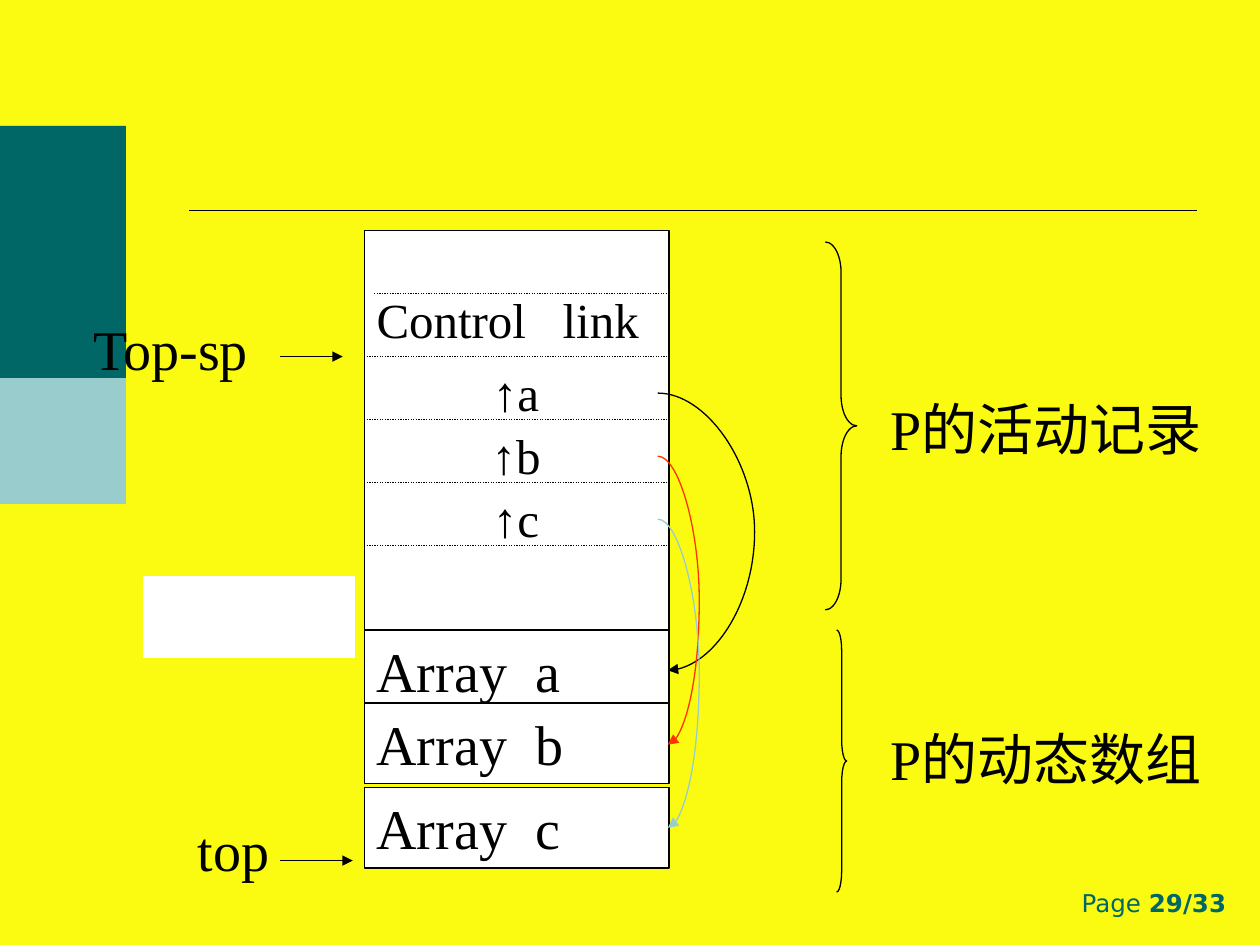
"""Build the slide on stack layout with dynamic arrays."""
import math

import pptx
import pptx.dml.color
import pptx.enum.dml
import pptx.enum.shapes
import pptx.enum.text
import pptx.oxml
import pptx.oxml.ns
import pptx.util

Inches = pptx.util.Inches
RGBColor = pptx.dml.color.RGBColor
Align = pptx.enum.text.PP_ALIGN
Shape = pptx.enum.shapes.MSO_SHAPE
Connector = pptx.enum.shapes.MSO_CONNECTOR

YELLOW = RGBColor(0xFB, 0xFB, 0x11)
TEAL = RGBColor(0x00, 0x66, 0x66)
PALE_TEAL = RGBColor(0x99, 0xCC, 0xCC)
BLACK = RGBColor(0, 0, 0)
WHITE = RGBColor(0xFF, 0xFF, 0xFF)
RED = RGBColor(0xFF, 0x33, 0x00)

STACK_LEFT, STACK_TOP, STACK_WIDTH = 2.89, 1.83, 2.42
ROW_TOP, ROW_STEP = 2.33, 0.5
CELL_HEIGHT = 0.64
POINTER_X, ARRAY_X = 5.22, 5.3

CIRCLES = [(0.96, 2.46, 1.4, PALE_TEAL), (0.73, 1.72, 1.42, TEAL)]
POINTERS = ["↑a", "↑b", "↑c"]
ARRAYS = [("Array  a", 5), ("Array  b", 5.58), ("Array  c", 6.25)]
LINKS = [(3.12, 5.32, 5.99, BLACK), (3.62, 5.91, 5.55, RED), (4.12, 6.57, 5.55, PALE_TEAL)]
LABELS = [
    ("Top-sp", (0.64, 2.45, 1.58, 0.63)),
    ("top", (1.47, 6.42, 0.92, 0.63)),
    ("P的活动记录", (6.97, 3.08, 2.83, 0.63)),
    ("P的动态数组", (6.97, 5.7, 2.67, 0.63)),
]
ARROWS = [(2.22, 2.72, 2.83), (2.22, 2.8, 6.83)]
BRACES = [((6.55, 1.92, 0.25, 2.92), 0.97), ((6.64, 5, 0.08, 2.08), 2.08)]


def write_text(shape, *pieces, size=32, font="Times New Roman", color=BLACK,
               align=Align.LEFT, bold_last=False):
    frame = shape.text_frame
    frame.word_wrap = True
    frame.vertical_anchor = pptx.enum.text.MSO_ANCHOR.TOP
    paragraph = frame.paragraphs[0]
    paragraph.alignment = align
    for index, piece in enumerate(pieces):
        run = paragraph.add_run()
        run.text = piece
        run.font.size = pptx.util.Pt(size)
        run.font.name = font
        run.font.color.rgb = color
        run.font.bold = bold_last and index == len(pieces) - 1


def add_label(slide, box, *pieces, **text_format):
    write_text(slide.shapes.add_textbox(*map(Inches, box)), *pieces, **text_format)


def add_outlined(slide, kind, box, fill=None, line=BLACK):
    shape = slide.shapes.add_shape(kind, *map(Inches, box))
    shape.shadow.inherit = False
    if fill is None:
        shape.fill.background()
    else:
        shape.fill.solid()
        shape.fill.fore_color.rgb = fill
    shape.line.color.rgb = line
    shape.line.width = pptx.util.Pt(0.75)
    return shape


def add_line(slide, start, end, color=BLACK, width=0.75, kind=Connector.STRAIGHT,
             dotted=False, arrow=False):
    connector = slide.shapes.add_connector(kind, *map(Inches, start + end))
    connector.line.color.rgb = color
    connector.line.width = pptx.util.Pt(width)
    if dotted:
        connector.line.dash_style = pptx.enum.dml.MSO_LINE.ROUND_DOT
    if arrow:
        head = pptx.oxml.ns.qn("a:tailEnd")
        connector.line._get_or_add_ln().append(pptx.oxml.xmlchemy.OxmlElement("a:tailEnd"))
        connector.line._get_or_add_ln().find(head).set("type", "triangle")
    connector._element.spPr.append(pptx.oxml.xmlchemy.OxmlElement("a:effectLst"))
    return connector


def add_link(slide, top, bottom, bulge_x, color):
    connector = add_line(slide, (POINTER_X, top), (ARRAY_X, bottom), color,
                         kind=Connector.CURVE, arrow=True)
    ratio = (bulge_x - POINTER_X) / (ARRAY_X - POINTER_X)
    guide = pptx.oxml.xmlchemy.OxmlElement("a:gd")
    guide.set("name", "adj1")
    guide.set("fmla", f"val {round(ratio * 100000)}")
    geometry = connector._element.spPr.find(pptx.oxml.ns.qn("a:prstGeom"))
    geometry.find(pptx.oxml.ns.qn("a:avLst")).append(guide)


def add_circle_part(slide, depth, middle, half_chord, color, steps=60):
    radius = (half_chord ** 2 + depth ** 2) / (2 * depth)
    limit = math.asin(half_chord / radius)
    angles = [limit * (2 * step / steps - 1) for step in range(steps + 1)]
    points = [(depth - radius + radius * math.cos(angle), middle + radius * math.sin(angle))
              for angle in angles]
    builder = slide.shapes.build_freeform(*points[0], scale=Inches(1))
    builder.add_line_segments(points[1:], close=True)
    shape = builder.convert_to_shape()
    shape.shadow.inherit = False
    shape.fill.solid()
    shape.fill.fore_color.rgb = color
    shape.line.fill.background()


def main():
    presentation = pptx.Presentation()
    presentation.slide_width, presentation.slide_height = Inches(10), Inches(7.5)
    slide = presentation.slides.add_slide(presentation.slide_layouts[6])
    slide.background.fill.solid()
    slide.background.fill.fore_color.rgb = YELLOW

    for circle in CIRCLES:
        add_circle_part(slide, *circle)
    add_line(slide, (1.5, 1.67), (9.5, 1.67), width=1)
    add_label(slide, (7.58, 7, 2.25, 0.33), "Page ", "29/33", size=14,
              font="DejaVu Sans", color=TEAL, align=Align.RIGHT, bold_last=True)

    add_outlined(slide, Shape.RECTANGLE, (STACK_LEFT, STACK_TOP, STACK_WIDTH, 3.17), WHITE)
    for row in range(5):
        left = STACK_LEFT if row else 2.97
        y = ROW_TOP + row * ROW_STEP
        add_line(slide, (left, y), (ARRAY_X, y), dotted=True)
    add_label(slide, (STACK_LEFT, 2.25, 2.33, 0.57), "Control   link", size=28)
    for row, pointer in enumerate(POINTERS, start=1):
        add_label(slide, (2.97, ROW_TOP + row * ROW_STEP, 2.25, 0.57), pointer,
                  size=28, align=Align.CENTER)

    for name, top in ARRAYS:
        cell = add_outlined(slide, Shape.RECTANGLE,
                            (STACK_LEFT, top, STACK_WIDTH, CELL_HEIGHT), WHITE)
        write_text(cell, name)
    for link in LINKS:
        add_link(slide, *link)
    for text, box in LABELS:
        add_label(slide, box, text)
    for start_x, end_x, y in ARROWS:
        add_line(slide, (start_x, y), (end_x, y), arrow=True)
    for box, curl in BRACES:
        brace = add_outlined(slide, Shape.RIGHT_BRACE, box)
        brace.adjustments[0] = curl
    add_outlined(slide, Shape.RECTANGLE, (1.14, 4.58, 1.67, CELL_HEIGHT), WHITE, WHITE)

    presentation.save("out.pptx")


if __name__ == "__main__":
    main()
